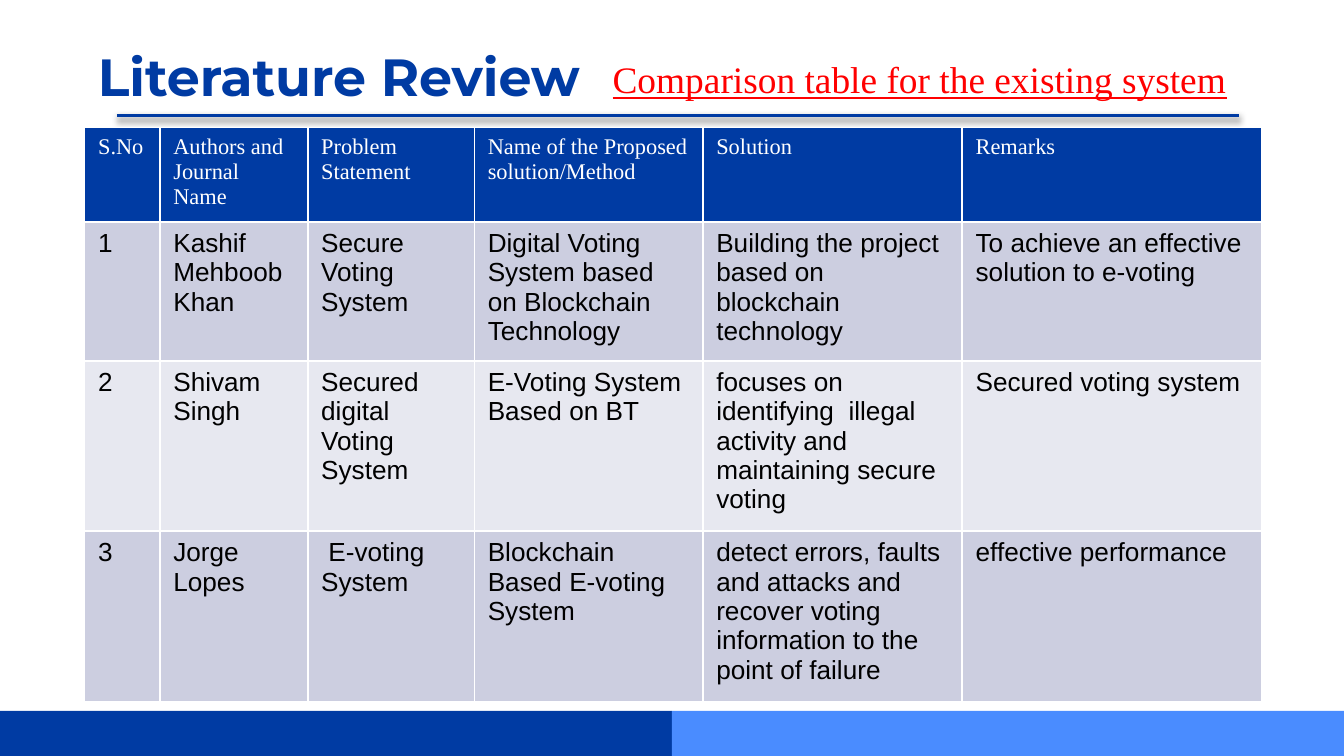
from lxml import etree
from pptx import Presentation
from pptx.dml.color import RGBColor
from pptx.enum.shapes import MSO_CONNECTOR, MSO_SHAPE
from pptx.enum.text import MSO_ANCHOR, MSO_AUTO_SIZE
from pptx.oxml.ns import qn
from pptx.util import Inches, Pt

RECT = MSO_SHAPE.RECTANGLE
LINE = MSO_CONNECTOR.STRAIGHT
TOP = MSO_ANCHOR.TOP
GROW = MSO_AUTO_SIZE.SHAPE_TO_FIT_TEXT
FIXED = MSO_AUTO_SIZE.NONE

# Colours and type sizes
THEME = {
    "navy": "003BA3", "sky": "4A8CFF", "white": "FFFFFF",
    "odd": "CCCEE0", "even": "E7E8F0", "black": "000000",
    "title": {"name": "Montserrat", "size": Pt(28), "bold": True, "color": "003BA3"},
    "sub": {"name": "Times New Roman", "size": Pt(20), "underline": True, "color": "FF0000"},
    "head": {"name": "Times New Roman", "size": Pt(12), "bold": False, "color": "FFFFFF"},
    "body": {"name": "Arial", "size": Pt(14), "bold": False, "color": "000000"},
}

COLS = [0.56, 1.1, 1.24, 1.7, 1.93, 2.23]
ROWS = [0.66, 0.81, 0.77, 1]
CELLS = [
    ["S.No", "Authors and Journal Name", "Problem Statement",
     "Name of the Proposed solution/Method", "Solution ", "Remarks"],
    ["1", "Kashif Mehboob Khan", "Secure Voting System",
     "Digital Voting System based on Blockchain Technology",
     "Building the project based on blockchain technology",
     "To achieve an effective solution to e-voting"],
    ["2", "Shivam Singh", "Secured digital Voting System",
     "E-Voting System\nBased on BT",
     "focuses on identifying  illegal activity and maintaining secure voting",
     "Secured voting system "],
    ["3", "Jorge Lopes ", " E-voting System ",
     "Blockchain Based E-voting System",
     "detect errors, faults and attacks and recover voting information "
     "to the point of failure",
     "effective performance "],
]


def rgb(code):
    return RGBColor.from_string(code)


def write(frame, text, style):
    frame.text = text
    for para in frame.paragraphs:
        for run in para.runs:
            for key, val in style.items():
                if key == "color":
                    run.font.color.rgb = rgb(val)
                else:
                    setattr(run.font, key, val)


def label(slide, box, text, style, **props):
    frame = slide.shapes.add_textbox(*map(Inches, box)).text_frame
    for key, val in props.items():
        setattr(frame, key, val)
    write(frame, text, style)


def edge(cell, side):
    line = etree.SubElement(cell._tc.get_or_add_tcPr(), qn("a:ln" + side), w=str(Pt(1)))
    fill = etree.SubElement(line, qn("a:solidFill"))
    etree.SubElement(fill, qn("a:srgbClr"), val=THEME["white"])


def footer(slide, box):
    left, top, width, height = box
    half = width / 2
    for i, name in enumerate(("navy", "sky")):
        bar = slide.shapes.add_shape(
            RECT, *map(Inches, (left + i * half, top, half, height)))
        bar.shadow.inherit = False
        bar.fill.solid()
        bar.fill.fore_color.rgb = rgb(THEME[name])
        bar.line.fill.background()


def header(slide, box):
    left, top, width, height = box
    pad = Inches(0.1)
    label(slide, box, "Literature Review", THEME["title"],
          word_wrap=True, auto_size=FIXED, vertical_anchor=TOP, margin_left=pad,
          margin_right=pad, margin_top=pad, margin_bottom=pad)
    # Rule with a soft shadow
    base = top + height
    ends = (left + 0.24, base, left + 8.59, base)
    rule = slide.shapes.add_connector(LINE, *map(Inches, ends))
    rule.line.color.rgb = rgb(THEME["navy"])
    rule.line.width = Pt(2)
    glow = etree.SubElement(rule._element.spPr, qn("a:effectLst"))
    shade = etree.SubElement(glow, qn("a:outerShdw"), blurRad=str(Pt(3.1)),
                             dist=str(Pt(1.6)), dir="5400000", rotWithShape="0")
    tone = etree.SubElement(shade, qn("a:srgbClr"), val=THEME["black"])
    etree.SubElement(tone, qn("a:alpha"), val="38000")
    # Subtitle
    label(slide, (left + 3.83, top + 0.14, 5.14, 0.44),
          "Comparison table for the existing system", THEME["sub"],
          word_wrap=True, auto_size=GROW)


def review(slide, box):
    frame = slide.shapes.add_table(len(ROWS), len(COLS), *map(Inches, box))
    table = frame.table
    for col, width in zip(table.columns, COLS):
        col.width = Inches(width)
    for row, height in zip(table.rows, ROWS):
        row.height = Inches(height)
    frame.height = Inches(box[3])
    for r, texts in enumerate(CELLS):
        style = THEME["body" if r else "head"]
        tint = THEME[("even", "odd")[r % 2] if r else "navy"]
        for c, text in enumerate(texts):
            cell = table.cell(r, c)
            for side in "LRTB":
                edge(cell, side)
            cell.fill.solid()
            cell.fill.fore_color.rgb = rgb(tint)
            write(cell.text_frame, text, style)


# Widescreen page, 16 to 9
deck = Presentation()
deck.slide_width = Inches(10)
deck.slide_height = Inches(10) * 9 // 16
page = deck.slides.add_slide(deck.slide_layouts[6])
footer(page, (0, 5.29, 10, 0.34))
header(page, (0.63, 0.23, 8.44, 0.63))
review(page, (0.63, 0.95, 8.75, 4.27))
deck.save("out.pptx")
